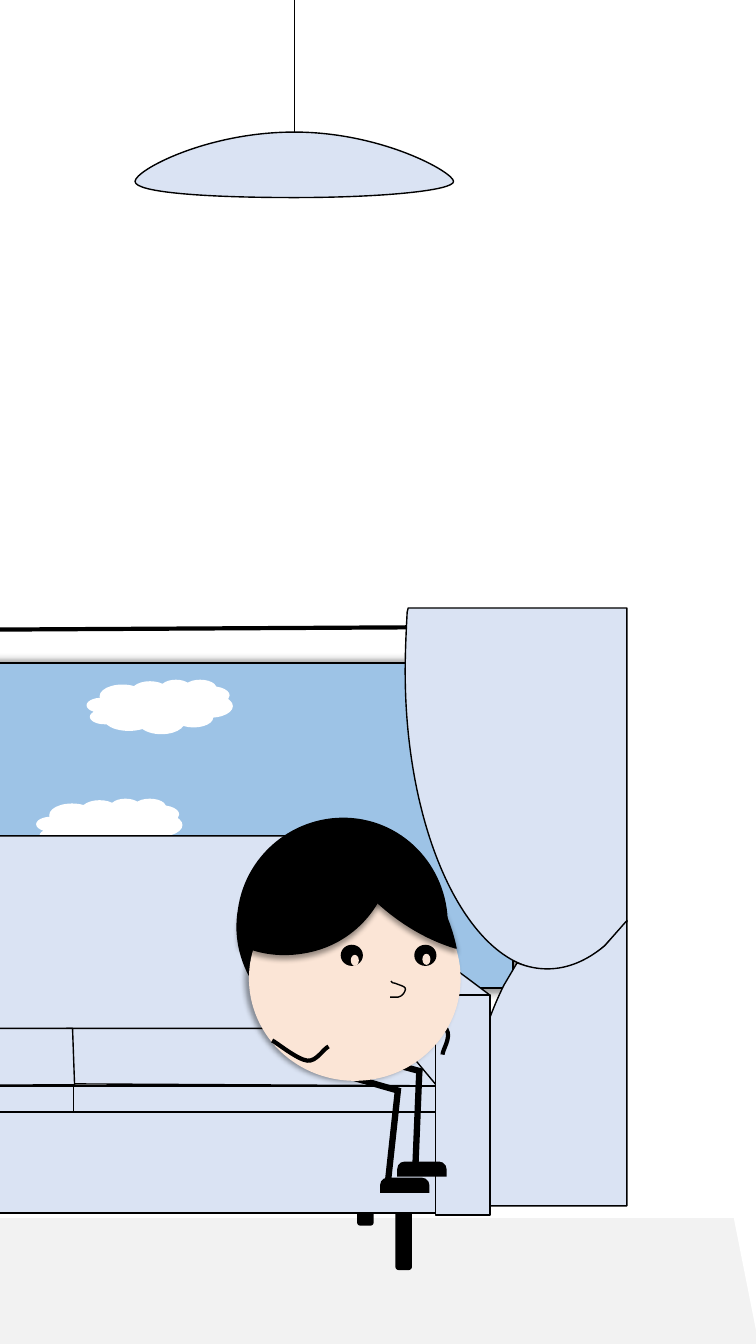
"""Draw a living room with a sofa, a window, a lamp and a seated cartoon figure."""
from dataclasses import dataclass
from math import cos, radians, sin

from lxml.etree import SubElement
from pptx import Presentation
from pptx.dml.color import RGBColor
from pptx.enum.shapes import MSO_CONNECTOR as Link, MSO_SHAPE as Kind
from pptx.oxml.ns import qn
from pptx.util import Inches, Pt


@dataclass(frozen=True)
class Theme:
    floor: str = "F2F2F2"
    wall: str = "FFFFFF"
    sky: str = "9DC3E6"
    cloth: str = "DAE3F3"
    skin: str = "FBE5D6"
    ink: str = "000000"
    hair: float = 0.5
    thin: float = 1
    frame: float = 1.5
    bold: float = 3
    limb: float = 4.5


def turn(point, angle):
    x, y = point
    c, s = cos(radians(angle)), sin(radians(angle))
    return x * c - y * s, x * s + y * c


def pairs(part):
    return list(zip(part[::2], part[1::2]))


def trace(path, steps=24):
    points = list(path[0])
    for part in path[1:]:
        if len(part) == 1:
            points += part
            continue
        knots = [points[-1], *part]
        for step in range(1, steps + 1):
            t = step / steps
            u = 1 - t
            mix = (u ** 3, 3 * u * u * t, 3 * u * t * t, t ** 3)
            points.append(tuple(sum(m * k[i] for m, k in zip(mix, knots)) for i in (0, 1)))
    return points


class Scene:
    def __init__(self, theme):
        self.theme = theme
        self.deck = Presentation()
        self.deck.slide_width, self.deck.slide_height = Inches(7.5), Inches(13.33)
        self.slide = self.deck.slides.add_slide(self.deck.slide_layouts[6])
        back = self.slide.background.fill
        back.solid()
        back.fore_color.rgb = RGBColor.from_string(theme.floor)
        self.home = self.slide.shapes

    def group(self):
        self.home = self.slide.shapes.add_group_shape().shapes

    def leave(self):
        self.home = self.slide.shapes

    def stroke(self, line, width):
        line.fill.solid()
        line.color.rgb = RGBColor.from_string(self.theme.ink)
        line.width = Pt(width)

    def dress(self, item, fill=None, width=0, shade=None, **form):
        item.shadow.inherit = False
        if fill:
            item.fill.solid()
            item.fill.fore_color.rgb = RGBColor.from_string(fill)
        else:
            item.fill.background()
        if width:
            self.stroke(item.line, width)
        else:
            item.line.fill.background()
        if shade:
            self.shade(item, *shade)
        for name, value in form.items():
            setattr(item, name, value)

    def shade(self, item, blur, gap, way, scale=100):
        size = scale * 1000
        form = {"blurRad": Pt(blur), "dist": Pt(gap), "dir": way * 60000,
                "sx": size, "sy": size, "algn": "ctr", "rotWithShape": 0}
        effects = item._element.spPr.find(qn("a:effectLst"))
        cast = SubElement(effects, qn("a:outerShdw"))
        for name, value in form.items():
            cast.set(name, str(value))
        tint = SubElement(cast, qn("a:srgbClr"), val=self.theme.ink)
        SubElement(tint, qn("a:alpha"), val="40000")

    def shape(self, kind, box, adjust=(), **form):
        item = self.home.add_shape(kind, *map(Inches, box))
        for spot, value in enumerate(adjust):
            item.adjustments[spot] = value
        self.dress(item, **form)

    def line(self, start, end, width):
        item = self.home.add_connector(Link.STRAIGHT, *map(Inches, start + end))
        self.stroke(item.line, width)
        SubElement(item._element.spPr, qn("a:effectLst"))

    def outline(self, path, angle=0, close=True, **form):
        flat = [[turn(point, -angle) for point in pairs(part)] for part in path]
        bounds = [(min(axis), max(axis)) for axis in zip(*trace(flat))]
        core = [sum(pair) / 2 for pair in bounds]
        shift = [a - b for a, b in zip(turn(core, angle), core)]
        low, high = ([Inches(pair[i] + move) for pair, move in zip(bounds, shift)] for i in (0, 1))
        pen = self.home.build_freeform(*low)
        pen.add_line_segments([high], close=close)
        item = pen.convert_to_shape()
        self.bend(item, flat, [pair[0] for pair in bounds], close)
        self.dress(item, rotation=angle, **form)

    def bend(self, item, parts, start, close):
        route = next(item._element.iter(qn("a:path")))
        for step in list(route):
            route.remove(step)
        for spot, part in enumerate(parts):
            name = "a:cubicBezTo" if len(part) == 3 else "a:lnTo"
            step = SubElement(route, qn(name if spot else "a:moveTo"))
            for point in part:
                x, y = (str(Inches(a - b)) for a, b in zip(point, start))
                SubElement(step, qn("a:pt"), x=x, y=y)
        if close:
            SubElement(route, qn("a:close"))


def window(scene, look):
    scene.group()
    scene.shape(Kind.RECTANGLE, (-3.34, 6.58, 8.43, 3.22), fill=look.sky, width=look.frame,
                shade=(5, 0, 0, 102))
    for x, y in ((0.36, 7.92), (0.86, 6.74)):
        scene.shape(Kind.CLOUD, (x, y, 1.45, 0.54), fill=look.wall)
    scene.leave()
    scene.line((-2.87, 6.26), (4.47, 6.22), look.bold)
    scene.group()
    drape = [(4.05, 6.03), (6.22, 6.03), (6.22, 9.14), (6, 9.38),
             (5.83, 9.53, 5.65, 9.62, 5.45, 9.62), (4.66, 9.62, 4.02, 8.29, 4.02, 6.66),
             (4.02, 6.46, 4.03, 6.26, 4.04, 6.07)]
    tail = [(6.22, 9.13), (6.22, 11.96), (4.57, 11.96), (4.57, 11.86),
            (4.57, 11.04, 4.73, 10.31, 5, 9.77), (5.13, 9.55),
            (5.23, 9.59, 5.33, 9.61, 5.43, 9.61), (5.63, 9.61, 5.82, 9.53, 6, 9.38)]
    for path in (drape, tail):
        scene.outline(path, fill=look.cloth, width=look.thin)


def sofa(scene, look):
    scene.group()
    cloth = {"fill": look.cloth, "width": look.thin}
    wood = {"fill": look.ink, "width": look.thin}
    scene.outline([(4.14, 9.33), (3.89, 9.37), (4.32, 9.87), (4.86, 9.87)], **cloth)
    scene.shape(Kind.ROUNDED_RECTANGLE, (3.55, 11.48, 0.15, 0.67), **wood)
    scene.shape(Kind.ROUNDED_RECTANGLE, (-2.44, 8.29, 6.35, 2.38), (0.14,), **cloth)
    scene.outline([(0.66, 10.2), (3.93, 10.2), (4.37, 10.77), (0.66, 10.75)], **cloth)
    scene.outline([(-2.47, 10.2), (0.72, 10.2), (0.74, 10.76), (-2.99, 10.77)], **cloth)
    for x, wide in ((-2.86, 3.6), (0.73, 3.63)):
        scene.shape(Kind.RECTANGLE, (x, 10.77, wide, 0.26), **cloth)
    scene.shape(Kind.ROUNDED_RECTANGLE, (3.93, 11.92, 0.15, 0.67), **wood)
    scene.shape(Kind.RECTANGLE, (-2.86, 11.03, 7.28, 1), **cloth)
    scene.outline([(4.35, 9.9), (3.91, 9.38), (3.91, 9.67, 3.85, 9.9, 3.85, 10.19),
                   (4.36, 10.8), (4.37, 10.53, 4.35, 10.17, 4.35, 9.9)], **cloth)
    scene.shape(Kind.RECTANGLE, (4.32, 9.87, 0.54, 2.18), **cloth)


def lamp(scene, look):
    scene.group()
    scene.line((2.92, -7.74), (2.92, 1.31), look.hair)
    scene.outline([(1.34, 1.8), (1.34, 1.69, 2.05, 1.31, 2.92, 1.31),
                   (3.79, 1.31, 4.5, 1.71, 4.5, 1.8), (4.5, 1.89, 3.79, 1.96, 2.92, 1.96),
                   (2.05, 1.96, 1.34, 1.91, 1.34, 1.8)], fill=look.cloth, width=look.thin)


def edge(scene, look):
    scene.leave()
    for x, y in ((6.61, 3.96), (6.77, -0.03)):
        far = x + 1.05
        scene.outline([(far, y), (x, y), (x, y + 4.74), (far, y + 10.04)], fill=look.wall)


def legs(scene, look):
    scene.group()
    for ends in (((3.37, 10.41), (4.19, 10.63)), ((3.09, 10.57), (3.96, 10.82)),
                 ((3.95, 10.79), (3.85, 11.71))):
        scene.line(*ends, look.limb)
    for x, y in ((3.94, 11.52), (3.77, 11.68)):
        scene.shape(Kind.ROUND_2_SAME_RECTANGLE, (x, y, 0.49, 0.15), (0.5, 0), fill=look.ink)
    scene.line((4.16, 10.62), (4.12, 11.6), look.limb)


def head(scene, look):
    scene.group()
    crown = [(3.55, 8.12), (4.12, 8.2, 4.52, 8.74, 4.43, 9.33),
             (4.43, 9.36, 4.42, 9.4, 4.41, 9.43), (4.41, 9.44), (4.39, 9.42),
             (4.24, 9.24, 4.02, 9.12, 3.77, 9.08), (3.27, 9.01, 2.8, 9.31, 2.63, 9.78),
             (2.6, 9.87), (2.55, 9.81), (2.39, 9.59, 2.31, 9.31, 2.36, 9.02),
             (2.44, 8.44, 2.98, 8.04, 3.55, 8.12)]
    scene.outline(crown, 8.4, fill=look.ink)
    scene.outline([(4.1, 9.98), (4.13, 10.01, 4.38, 10.13, 4.43, 10.21),
                   (4.48, 10.29, 4.39, 10.41, 4.39, 10.46)], 276.4, False, width=look.bold)
    scene.shape(Kind.OVAL, (2.47, 8.69, 2.1, 2.03), fill=look.skin, shade=(4, 3, 180))
    pupil = {"kind": Kind.OVAL, "fill": look.ink}
    scene.shape(box=(3.38, 9.37, 0.22, 0.21), **pupil)
    scene.outline([(3.88, 9.73), (3.88, 9.74, 3.89, 9.74, 3.9, 9.75),
                   (3.91, 9.75, 3.92, 9.75, 3.94, 9.76), (3.96, 9.77, 4.01, 9.78, 4.02, 9.8),
                   (4.03, 9.81, 4.01, 9.85, 4, 9.86), (3.99, 9.88, 3.97, 9.88, 3.95, 9.89),
                   (3.93, 9.89, 3.9, 9.89, 3.87, 9.89)], close=False, width=look.thin)
    scene.shape(box=(4.11, 9.37, 0.22, 0.21), **pupil)
    for x, y in ((3.48, 9.47), (4.19, 9.46)):
        scene.shape(Kind.OVAL, (x, y, 0.08, 0.11), fill=look.skin)
    left = [(3.16, 8.24), (3.4, 8.18, 3.65, 8.2, 3.86, 8.3), (3.88, 8.31), (3.89, 8.4),
            (3.91, 8.87, 3.59, 9.32, 3.1, 9.44), (2.85, 9.5, 2.6, 9.48, 2.39, 9.38),
            (2.37, 9.37), (2.36, 9.28), (2.34, 8.81, 2.66, 8.37, 3.16, 8.24)]
    right = [(3.73, 8.25), (3.83, 8.32), (4.18, 8.58, 4.44, 8.96, 4.53, 9.4), (4.53, 9.41),
             (4.52, 9.41), (4.22, 9.32, 3.92, 9.14, 3.66, 8.88), (3.65, 8.87), (3.68, 8.79),
             (3.71, 8.67, 3.73, 8.53, 3.73, 8.4)]
    for path, angle in ((left, 345.6), (right, 46.2)):
        scene.outline(path, angle, fill=look.ink, shade=(4, 3, 90))
    scene.outline([(2.7, 10.32), (2.73, 10.33, 2.95, 10.51, 3.05, 10.52),
                   (3.14, 10.53, 3.21, 10.4, 3.26, 10.38)], 328.4, False, width=look.bold)


def main():
    look = Theme()
    scene = Scene(look)
    scene.shape(Kind.RECTANGLE, (-7.04, -13.89, 14.54, 25.97), fill=look.wall)
    for part in (window, sofa, lamp, edge, legs, head):
        part(scene, look)
    scene.deck.save("out.pptx")


if __name__ == "__main__":
    main()
